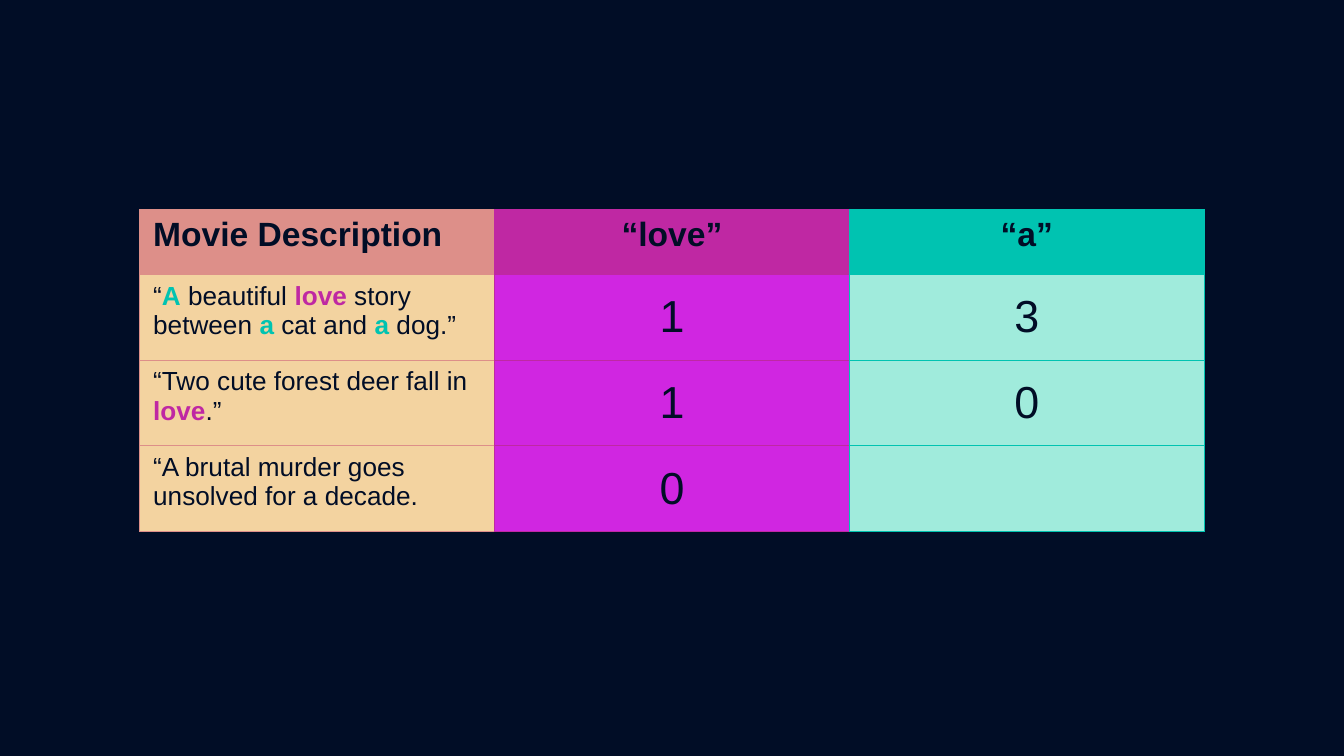
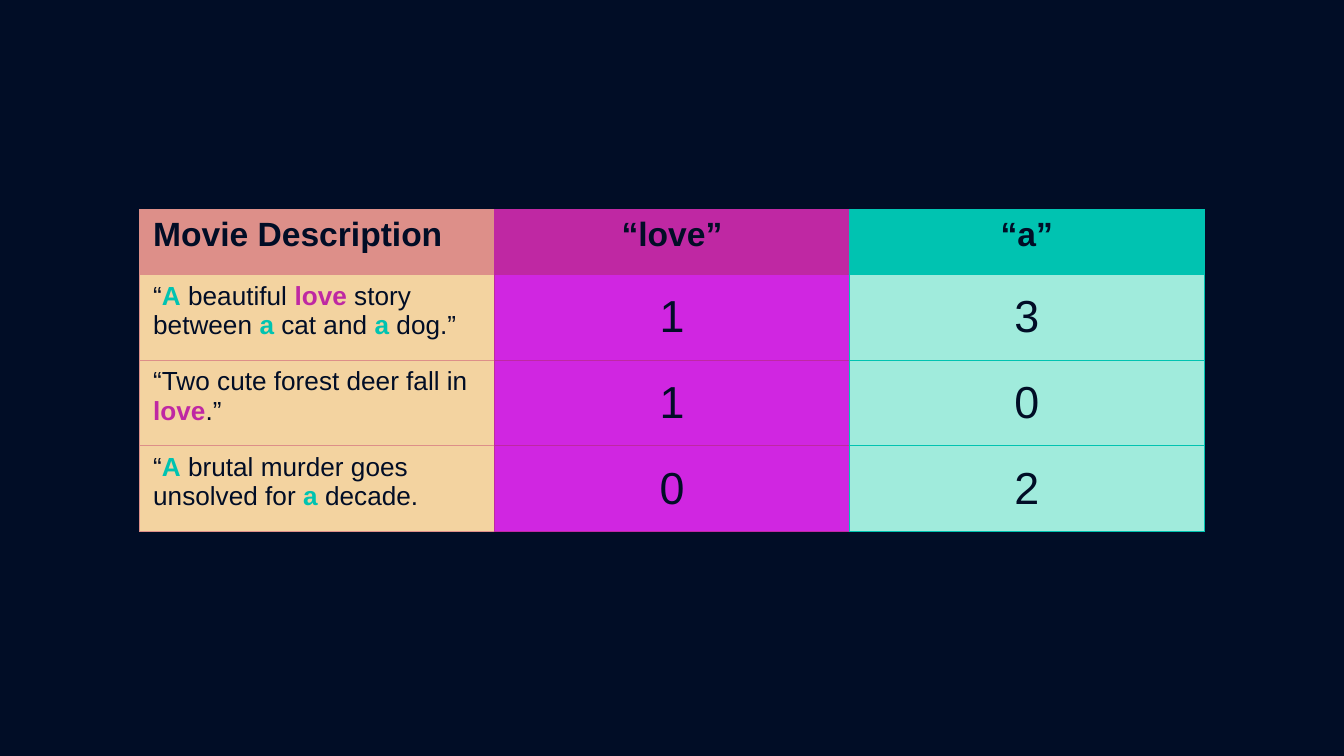
import pptx
import pptx.util
import pptx.dml.color
import pptx.enum.text
import pptx.oxml.ns
from lxml import etree

Pt = pptx.util.Pt

COLORS = {
    "navy": "010D26",
    "rose": "DD8F89",
    "sand": "F3D3A0",
    "magenta": "BF28A3",
    "violet": "D026E1",
    "teal": "00C3B1",
    "mint": "A0EBDC",
}
FONT = "Arial"

# Heading, accent (header fill and borders), body fill
COLUMNS = [
    ("Movie Description", "rose", "sand"),
    ("“love”", "magenta", "violet"),
    ("“a”", "teal", "mint"),
]
# Counted words stand between asterisks
WORD_COLORS = {"love": "magenta", "a": "teal"}
FIRST_MOVIES = [
    ("“*A* beautiful *love* story between *a* cat and *a* dog.”", "1", "3"),
    ("“Two cute forest deer fall in *love*.”", "1", "0"),
]
SLIDES = [
    FIRST_MOVIES + [("“A brutal murder goes unsolved for a decade.", "0", "")],
    FIRST_MOVIES + [("“*A* brutal murder goes unsolved for *a* decade.", "0", "2")],
]

SLIDE_WIDTH, SLIDE_HEIGHT = 720, 405
TABLE_TOP = 112.3
COLUMN_WIDTH = 190.1
HEADER_HEIGHT, MOVIE_HEIGHT = 34.8, 45.9
BORDER_WIDTH = 0.75
HEADING_SIZE, DESCRIPTION_SIZE, COUNT_SIZE = 18, 14, 24


def rgb(color):
    return pptx.dml.color.RGBColor.from_string(COLORS[color])


def add_borders(cell, accent, right_accent):
    properties = cell._tc.get_or_add_tcPr()
    sides = {"lnL": accent, "lnR": right_accent, "lnT": accent, "lnB": accent}
    for side, color in sides.items():
        line = etree.SubElement(properties, pptx.oxml.ns.qn(f"a:{side}"), w=str(Pt(BORDER_WIDTH)))
        fill = etree.SubElement(line, pptx.oxml.ns.qn("a:solidFill"))
        etree.SubElement(fill, pptx.oxml.ns.qn("a:srgbClr"), val=COLORS[color])


def write_text(cell, text, size, bold, centered):
    """Write text, colouring each counted word."""
    paragraph = cell.text_frame.paragraphs[0]
    if centered:
        paragraph.alignment = pptx.enum.text.PP_ALIGN.CENTER
    paragraph.font.name = FONT
    paragraph.font.size = Pt(size)
    paragraph.font.bold = bold
    paragraph.font.color.rgb = rgb("navy")
    for index, part in enumerate(text.split("*")):
        if not part:
            continue
        run = paragraph.add_run()
        run.text = part
        if index % 2:
            run.font.bold = True
            run.font.color.rgb = rgb(WORD_COLORS[part.lower()])


def add_word_counts(slide, movies):
    headings = tuple(heading for heading, _, _ in COLUMNS)
    rows = [headings] + movies
    heights = [HEADER_HEIGHT] + [MOVIE_HEIGHT] * len(movies)
    width = COLUMN_WIDTH * len(COLUMNS)
    table = slide.shapes.add_table(
        len(rows), len(COLUMNS), Pt((SLIDE_WIDTH - width) / 2), Pt(TABLE_TOP),
        Pt(width), Pt(sum(heights))).table
    table.first_row = False
    table.horz_banding = False
    for column in table.columns:
        column.width = Pt(COLUMN_WIDTH)

    accents = [accent for _, accent, _ in COLUMNS]
    right_accents = accents[1:] + accents[-1:]
    for r, texts in enumerate(rows):
        table.rows[r].height = Pt(heights[r])
        is_header = r == 0
        for c, text in enumerate(texts):
            _, accent, body = COLUMNS[c]
            is_count = c > 0 and not is_header
            cell = table.cell(r, c)
            add_borders(cell, accent, right_accents[c])
            cell.fill.solid()
            cell.fill.fore_color.rgb = rgb(accent if is_header else body)
            if is_count:
                cell.vertical_anchor = pptx.enum.text.MSO_ANCHOR.MIDDLE
            size = HEADING_SIZE if is_header else COUNT_SIZE if is_count else DESCRIPTION_SIZE
            write_text(cell, text, size, bold=is_header, centered=c > 0)


def main():
    deck = pptx.Presentation()
    deck.slide_width, deck.slide_height = Pt(SLIDE_WIDTH), Pt(SLIDE_HEIGHT)
    for movies in SLIDES:
        slide = deck.slides.add_slide(deck.slide_layouts[6])
        slide.background.fill.solid()
        slide.background.fill.fore_color.rgb = rgb("navy")
        add_word_counts(slide, movies)
    deck.save("out.pptx")


if __name__ == "__main__":
    main()
